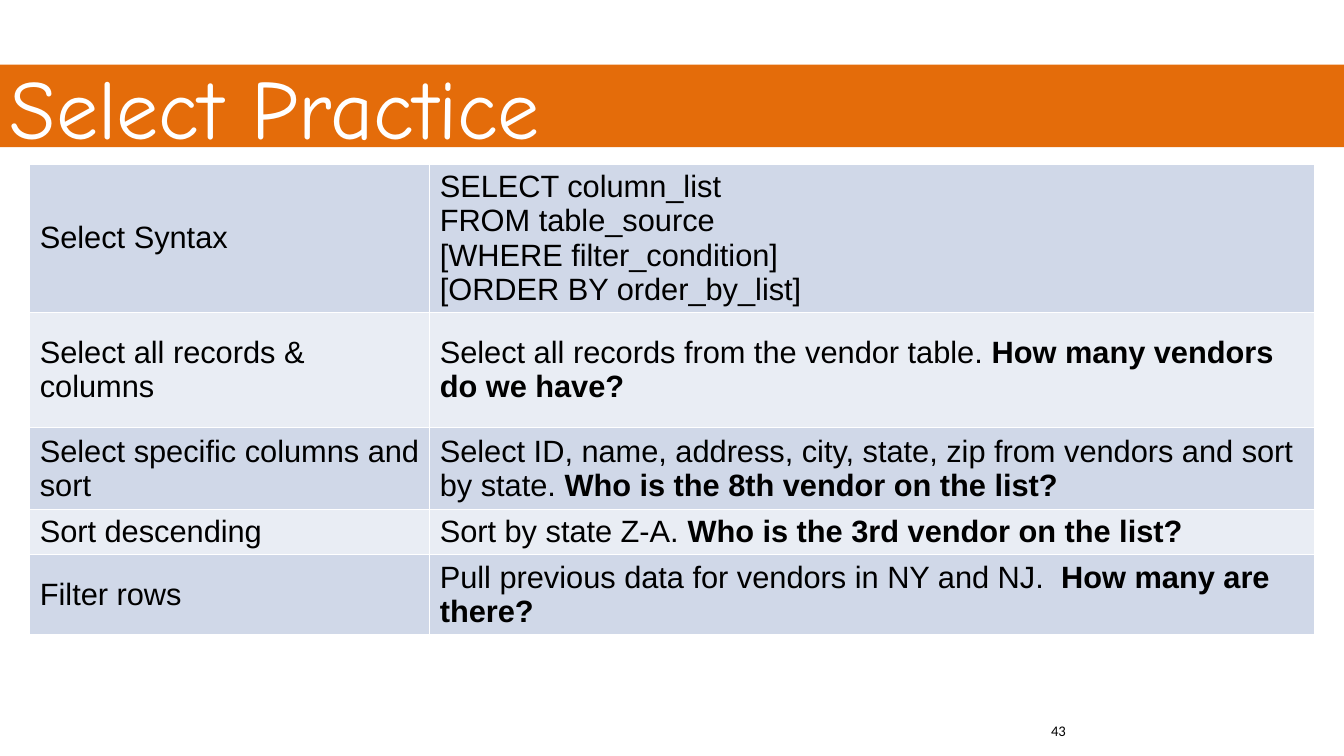
"""Build the Select Practice slide: a title band, an exercise table and a page number."""
from dataclasses import dataclass

from lxml.etree import SubElement
from pptx import Presentation
from pptx.dml.color import RGBColor
from pptx.enum.shapes import MSO_SHAPE as Shape
from pptx.enum.text import MSO_ANCHOR as Anchor, PP_ALIGN as Align
from pptx.oxml.ns import qn
from pptx.util import Cm, Pt

TITLE = "Select Practice"
PAGE_NUMBER = "43"
EXERCISES = [
    ("Select Syntax",
     "SELECT column_list\nFROM table_source\v[WHERE filter_condition]\v[ORDER BY order_by_list]", ""),
    ("Select all records & columns",
     "Select all records from the vendor table. ", "How many vendors do we have?"),
    ("Select specific columns and sort",
     "Select ID, name, address, city, state, zip from vendors and sort by state. ",
     "Who is the 8th vendor on the list?"),
    ("Sort descending", "Sort by state Z-A. ", "Who is the 3rd vendor on the list?"),
    ("Filter rows", "Pull previous data for vendors in NY and NJ.  ", "How many are there?"),
]
COLUMN_WIDTHS = (10.08, 22.3)
ROW_HEIGHTS = (3.18, 2.9, 2.08, 1.04, 2.03)


@dataclass(frozen=True)
class Theme:
    band: str = "E46C0A"
    rows: tuple = ("D0D8E8", "E9EDF4")
    light: str = "FFFFFF"
    dark: str = "000000"
    title_font: str = "Comic Neue"
    table_font: str = "Arial"
    number_font: str = "Calibri"
    title_size: float = 60
    table_size: float = 22
    number_size: float = 10.5
    border: float = 1


THEME = Theme()


def style(frame, font, size, color):
    for para in frame.paragraphs:
        para.alignment = Align.LEFT
        for span in para.runs:
            span.font.name = font
            span.font.size = Pt(size)
            span.font.color.rgb = RGBColor.from_string(color)


def add_borders(cell):
    properties = cell._tc.get_or_add_tcPr()
    for side in ("a:lnL", "a:lnR", "a:lnT", "a:lnB"):
        line = SubElement(properties, qn(side), w=str(Pt(THEME.border)))
        fill = SubElement(line, qn("a:solidFill"))
        SubElement(fill, qn("a:srgbClr"), val=THEME.light)


def fill_cell(cell, text, question, color):
    cell.text_frame.text = text
    if question:
        span = cell.text_frame.paragraphs[-1].add_run()
        span.text = question
        span.font.bold = True
    style(cell.text_frame, THEME.table_font, THEME.table_size, THEME.dark)
    cell.vertical_anchor = Anchor.MIDDLE
    add_borders(cell)
    cell.fill.solid()
    cell.fill.fore_color.rgb = RGBColor.from_string(color)


def add_title(page, width):
    band = page.shapes.add_shape(Shape.RECTANGLE, 0, Cm(1.63), width, Cm(2.08))
    band.shadow.inherit = False
    band.fill.solid()
    band.fill.fore_color.rgb = RGBColor.from_string(THEME.band)
    band.line.fill.background()
    band.text_frame.text = TITLE
    band.text_frame.vertical_anchor = Anchor.MIDDLE
    style(band.text_frame, THEME.title_font, THEME.title_size, THEME.light)


def add_exercises(page):
    table = page.shapes.add_table(
        len(EXERCISES), len(COLUMN_WIDTHS), Cm(0.75), Cm(4.14),
        Cm(sum(COLUMN_WIDTHS)), Cm(sum(ROW_HEIGHTS))).table
    table.first_row = False
    table.horz_banding = False
    for column, width in zip(table.columns, COLUMN_WIDTHS):
        column.width = Cm(width)
    for index, (topic, task, question) in enumerate(EXERCISES):
        table.rows[index].height = Cm(ROW_HEIGHTS[index])
        color = THEME.rows[index % len(THEME.rows)]
        fill_cell(table.cell(index, 0), topic, "", color)
        fill_cell(table.cell(index, 1), task, question, color)


def add_page_number(page):
    box = page.shapes.add_textbox(Cm(26.24), Cm(18.06), Cm(7.62), Cm(1.02))
    box.text_frame.word_wrap = True
    box.text_frame.text = PAGE_NUMBER
    style(box.text_frame, THEME.number_font, THEME.number_size, THEME.dark)


def main():
    deck = Presentation()
    deck.slide_width, deck.slide_height = Cm(33.87), Cm(19.05)
    page = deck.slides.add_slide(deck.slide_layouts[6])
    add_title(page, deck.slide_width)
    add_exercises(page)
    add_page_number(page)
    deck.save("out.pptx")


if __name__ == "__main__":
    main()
